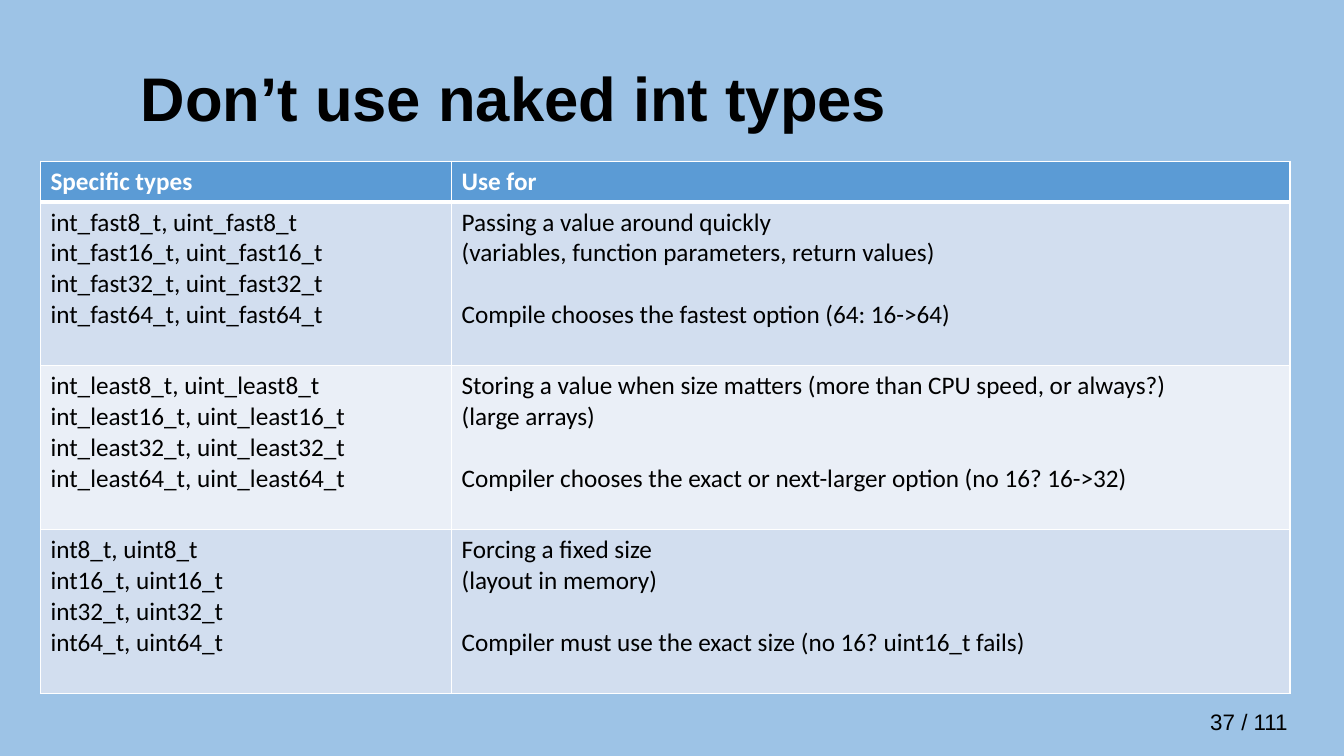
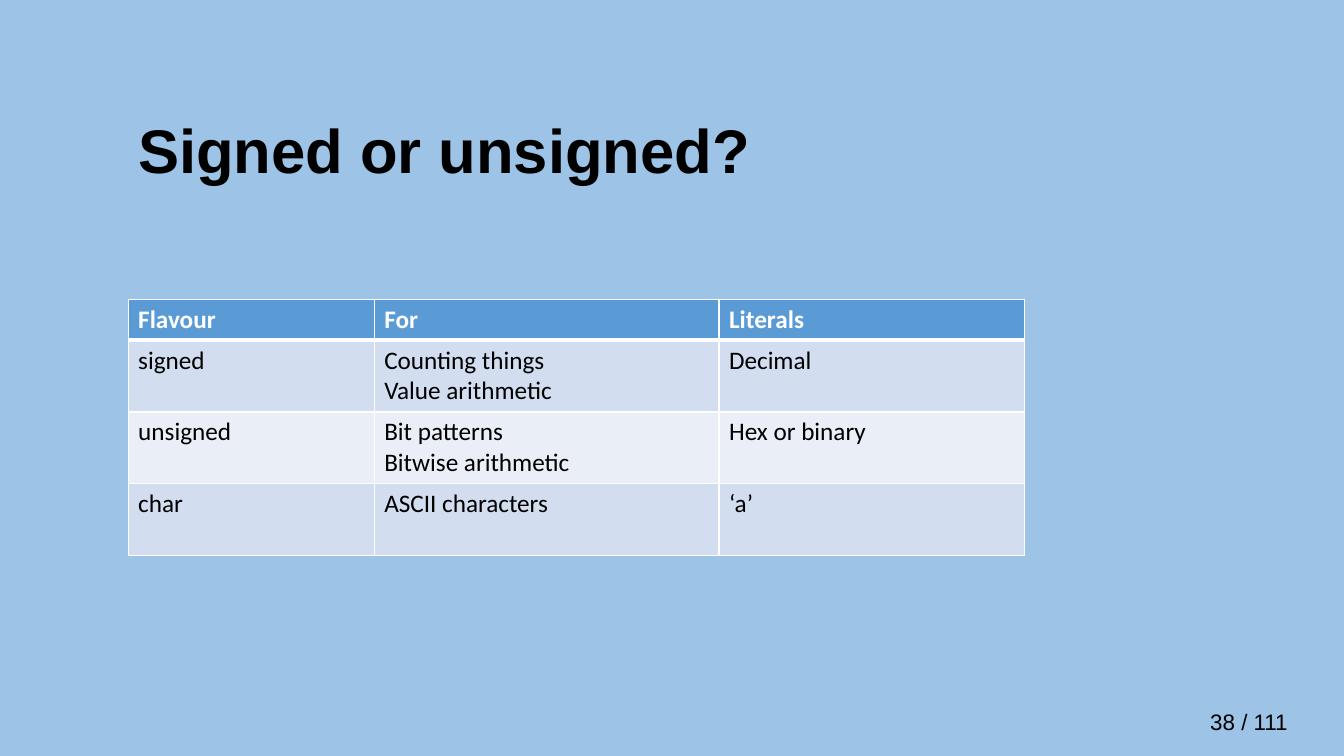
from dataclasses import dataclass

from lxml.etree import SubElement
from pptx import Presentation
from pptx.dml.color import RGBColor
from pptx.enum.text import MSO_ANCHOR
from pptx.oxml.ns import qn
from pptx.util import Cm, Pt


@dataclass(frozen=True)
class Theme:
    back: str = "9DC3E6"
    ink: str = "000000"
    white: str = "FFFFFF"
    head: str = "5B9BD5"
    bands: tuple = ("D2DEEF", "EAEFF7")
    sans: str = "Arial"
    body: str = "Calibri"
    title: int = 44
    cell: int = 18
    page: int = 16
    gap: int = 22
    thin: int = 1
    thick: int = 3


theme = Theme()


def write(frame, text, *, size, font=theme.sans, color=theme.ink, bold=False,
          anchor=MSO_ANCHOR.TOP, spacing=1.0):
    frame.word_wrap = True
    frame.vertical_anchor = anchor
    para = frame.paragraphs[0]
    for part, block in enumerate(text.split("\n\n")):
        for row, line in enumerate(block.split("\n")):
            if part or row:
                para = frame.add_paragraph()
            if part and not row:
                para.space_before = Pt(theme.gap)
            para.line_spacing = spacing
            run = para.add_run()
            run.text = line
            run.font.name = font
            run.font.size = Pt(size)
            run.font.bold = bold
            run.font.color.rgb = RGBColor.from_string(color)


def border(cell, side, width):
    line = SubElement(cell._tc.get_or_add_tcPr(), qn(f"a:ln{side}"), w=str(Pt(width)))
    fill = SubElement(line, qn("a:solidFill"))
    SubElement(fill, qn("a:srgbClr"), val=theme.white)


slides = [
    {
        "title": "Don’t use naked int types",
        "spot": (3.3, 0.71),
        "table": (1.02, 4.06),
        "cols": (10.36, 21.13),
        "height": 4.13,
        "rows": [
            ("Specific types", "Use for"),
            ("\n".join(f"int_fast{n}_t, uint_fast{n}_t" for n in (8, 16, 32, 64)),
             "Passing a value around quickly\n"
             "(variables, function parameters, return values)\n\n"
             "Compile chooses the fastest option (64: 16->64)"),
            ("\n".join(f"int_least{n}_t, uint_least{n}_t" for n in (8, 16, 32, 64)),
             "Storing a value when size matters (more than CPU speed, or always?)\n"
             "(large arrays)\n\n"
             "Compiler chooses the exact or next-larger option (no 16? 16->32)"),
            ("\n".join(f"int{n}_t, uint{n}_t" for n in (8, 16, 32, 64)),
             "Forcing a fixed size\n"
             "(layout in memory)\n\n"
             "Compiler must use the exact size (no 16? uint16_t fails)"),
        ],
    },
    {
        "title": "Signed or unsigned?",
        "spot": (3.23, 2.03),
        "table": (3.23, 7.54),
        "cols": (6.2, 8.69, 7.7),
        "height": 1.81,
        "rows": [
            ("Flavour", "For", "Literals"),
            ("signed", "Counting things\nValue arithmetic", "Decimal"),
            ("unsigned", "Bit patterns\nBitwise arithmetic", "Hex or binary"),
            ("char", "ASCII characters", "‘a’"),
        ],
    },
]

deck = Presentation()
deck.slide_width = Cm(33.87)
deck.slide_height = Cm(19.05)

for number, data in enumerate(slides, 37):
    slide = deck.slides.add_slide(deck.slide_layouts[6])
    slide.background.fill.solid()
    slide.background.fill.fore_color.rgb = RGBColor.from_string(theme.back)

    page = slide.shapes.add_textbox(Cm(30.25), Cm(17.73), Cm(3.18), Cm(0.93))
    write(page.text_frame, f"{number} / 111", size=theme.page)

    left, top = data["spot"]
    title = slide.shapes.add_textbox(Cm(left), Cm(top), Cm(29.21), Cm(3.68))
    write(title.text_frame, data["title"], size=theme.title, bold=True,
          anchor=MSO_ANCHOR.MIDDLE, spacing=0.9)

    rows, cols = data["rows"], data["cols"]
    heights = [1.03] + [data["height"]] * (len(rows) - 1)
    left, top = data["table"]
    table = slide.shapes.add_table(len(rows), len(cols), Cm(left), Cm(top),
                                   Cm(sum(cols)), Cm(sum(heights))).table
    for column, width in zip(table.columns, cols):
        column.width = Cm(width)
    for r, texts in enumerate(rows):
        table.rows[r].height = Cm(heights[r])
        header = r == 0
        for c, text in enumerate(texts):
            cell = table.cell(r, c)
            for side in "LRTB":
                heavy = (r, side) in ((0, "B"), (1, "T"))
                border(cell, side, theme.thick if heavy else theme.thin)
            shade = theme.head if header else theme.bands[(r - 1) % 2]
            cell.fill.solid()
            cell.fill.fore_color.rgb = RGBColor.from_string(shade)
            write(cell.text_frame, text, size=theme.cell, font=theme.body, bold=header,
                  color=theme.white if header else theme.ink)

deck.save("out.pptx")
